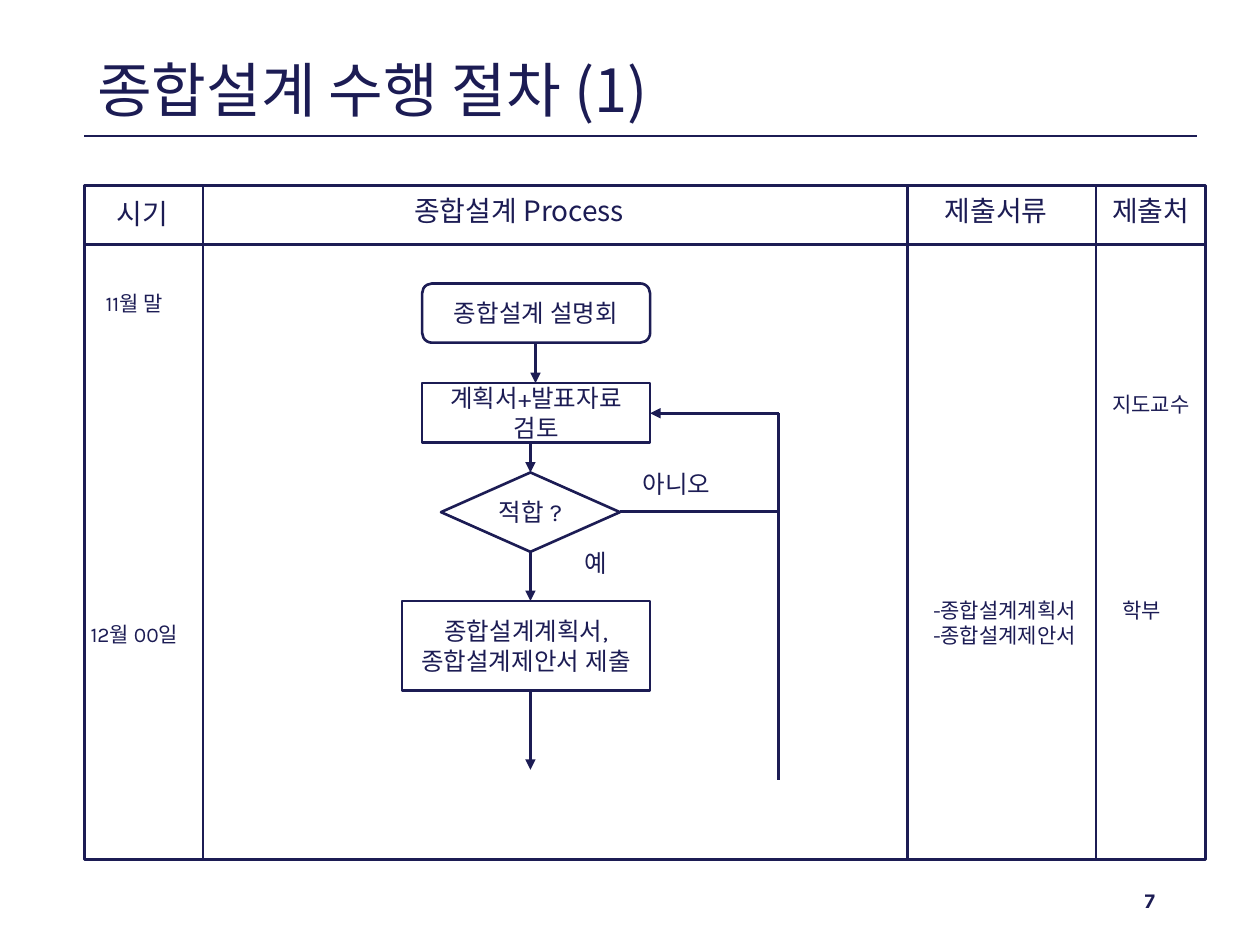
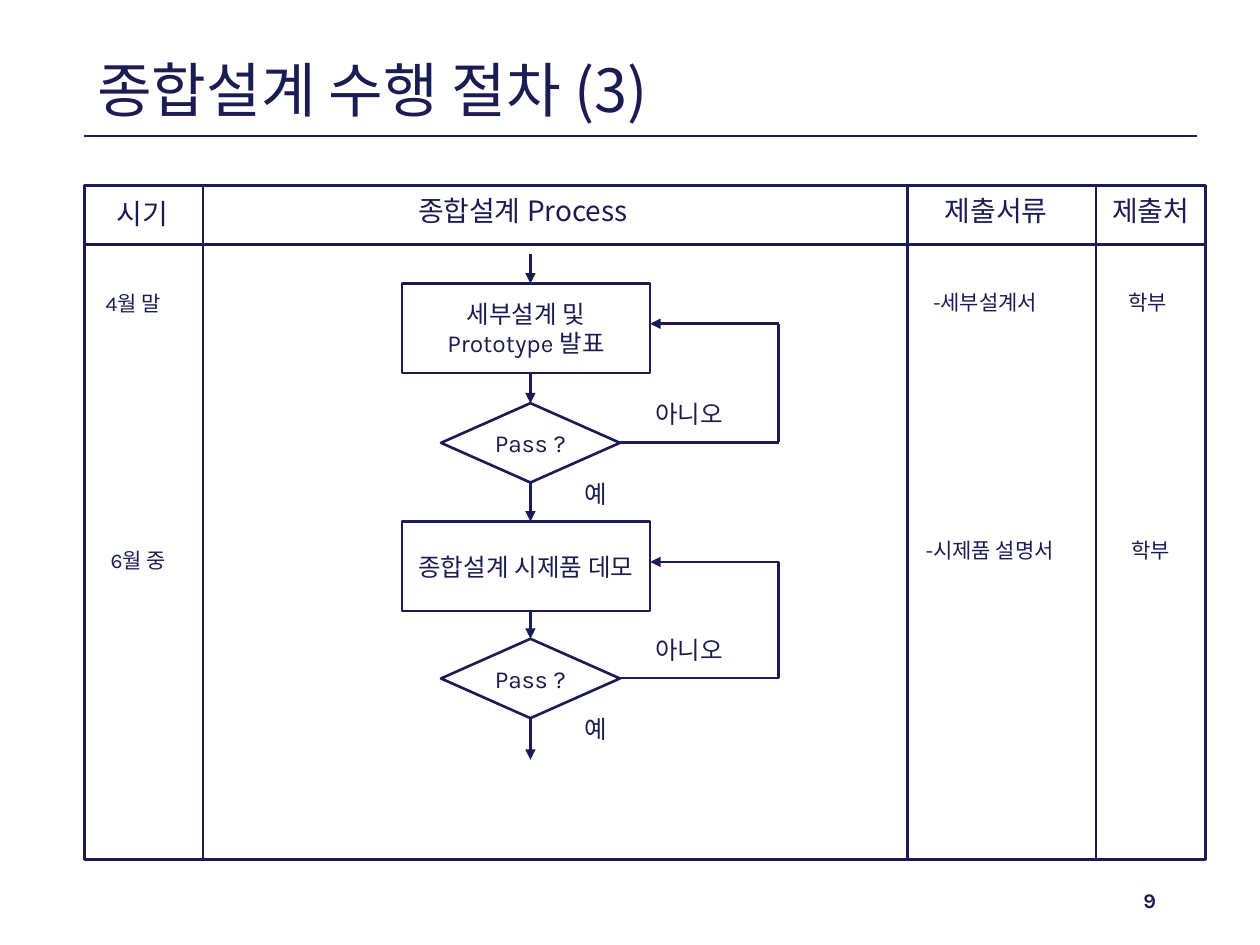
"""Builds two slides of the design course procedure as flow charts in a ruled frame."""
from lxml import etree
from pptx import Presentation
from pptx.dml.color import RGBColor
from pptx.enum.shapes import MSO_CONNECTOR, MSO_SHAPE
from pptx.enum.text import MSO_ANCHOR, MSO_AUTO_SIZE, PP_ALIGN
from pptx.oxml.ns import qn
from pptx.util import Inches, Pt

STRAIGHT = MSO_CONNECTOR.STRAIGHT
RECTANGLE, ROUNDED, DIAMOND = MSO_SHAPE.RECTANGLE, MSO_SHAPE.ROUNDED_RECTANGLE, MSO_SHAPE.DIAMOND
LEFT, CENTER = PP_ALIGN.LEFT, PP_ALIGN.CENTER
TOP, MIDDLE, BOTTOM = MSO_ANCHOR.TOP, MSO_ANCHOR.MIDDLE, MSO_ANCHOR.BOTTOM
FIXED, GROW = MSO_AUTO_SIZE.NONE, MSO_AUTO_SIZE.SHAPE_TO_FIT_TEXT

NAVY = RGBColor(0x1C, 0x1C, 0x54)
BODY_FONT, TITLE_FONT = "Karla", "Noto Sans CJK KR"
LINE_WIDTH = 1.5

FRAME_LEFT, FRAME_TOP, FRAME_RIGHT, FRAME_BOTTOM = 0.67, 1.47, 9.57, 6.82
HEADER_BOTTOM = 1.94
COLUMN_EDGES = [1.61, 7.2, 8.7]
FLOW_X, RETURN_X = 4.21, 6.18

# kind: preset, left, width, height, depth of the side port, x of the arrow below
STEP_KINDS = {
    "start": (ROUNDED, 3.35, 1.81, 0.47, 0.24, 4.25),
    "review": (RECTANGLE, 3.35, 1.81, 0.47, 0.24, FLOW_X),
    "task": (RECTANGLE, 3.19, 1.97, 0.71, 0.32, FLOW_X),
    "decision": (DIAMOND, 3.5, 1.42, 0.63, 0.31, FLOW_X),
}

PAGES = [
    {
        "title": "종합설계 수행 절차 (1)", "number": "7", "process_left": 3.19, "no_left": 5.0,
        "steps": [
            ("start", 2.25, ["종합설계 설명회"]),
            ("review", 3.04, ["계획서+발표자료", "검토"]),
            ("decision", 3.75, ["적합 ?"]),
            ("task", 4.77, ["종합설계계획서,", "종합설계제안서 제출"]),
        ],
        "entry": None, "exit": 6.11, "return_end": 6.19,
        "notes": [
            (0.74, 2.26, 0.8, ["11월 말"], False),
            (0.62, 4.88, 1.08, ["12월 00일"], False),
            (7.31, 4.69, 1.36, ["-종합설계계획서", "-종합설계제안서"], True),
            (8.73, 3.06, 0.84, ["지도교수"], False),
            (8.81, 4.69, 0.56, ["학부"], False),
        ],
    },
    {
        "title": "종합설계 수행 절차 (3)", "number": "9", "process_left": 3.22, "no_left": 5.1,
        "steps": [
            ("task", 2.25, ["세부설계 및", "Prototype 발표"]),
            ("decision", 3.2, ["Pass ?"]),
            ("task", 4.14, ["종합설계 시제품 데모"]),
            ("decision", 5.07, ["Pass ?"]),
        ],
        "entry": 2.02, "exit": 6.03, "return_end": None,
        "notes": [
            (0.74, 2.26, 0.72, ["4월 말"], False),
            (0.78, 4.3, 0.72, ["6월 중"], False),
            (7.31, 2.25, 1.06, ["-세부설계서"], True),
            (7.25, 4.22, 1.36, ["-시제품 설명서"], True),
            (8.86, 2.25, 0.56, ["학부"], False),
            (8.88, 4.22, 0.56, ["학부"], False),
        ],
    },
]


def write(shape, lines, size=12, font=BODY_FONT, bold=False, align=LEFT, anchor=TOP,
          wrap=False, fit=FIXED, before=0):
    """Fill a shape with lines, each a string or a list of (text, font) spans."""
    frame = shape.text_frame
    frame.auto_size, frame.word_wrap, frame.vertical_anchor = fit, wrap, anchor
    for index, line in enumerate(lines):
        para = frame.add_paragraph() if index else frame.paragraphs[0]
        para.alignment, para.space_before = align, Pt(before)
        for text, face in [(line, font)] if isinstance(line, str) else line:
            span = para.add_run()
            span.text = text
            span.font.size, span.font.bold, span.font.name = Pt(size), bold, face
            span.font.color.rgb = NAVY
            span.font._element.set("kern", "0")
            east_asian = etree.SubElement(span.font._element, qn("a:ea"))
            east_asian.set("typeface", face)


def add_text(page, left, top, width, height, lines, **style):
    """Add a text box that holds the lines."""
    box = page.shapes.add_textbox(Inches(left), Inches(top), Inches(width), Inches(height))
    write(box, lines, **style)


def add_outline(page, preset, left, top, width, height):
    """Add an unfilled shape with a navy outline."""
    box = page.shapes.add_shape(preset, Inches(left), Inches(top), Inches(width), Inches(height))
    box.shadow.inherit = False
    box.fill.background()
    box.line.color.rgb, box.line.width = NAVY, Pt(LINE_WIDTH)
    return box


def add_line(page, *points, arrow=False):
    """Join the points with straight lines, the last one with an optional arrowhead."""
    for start, end in zip(points, points[1:]):
        line = page.shapes.add_connector(STRAIGHT, *map(Inches, start + end))
        line.line.color.rgb, line.line.width = NAVY, Pt(LINE_WIDTH)
        etree.SubElement(line._element.spPr, qn("a:effectLst"))
    if arrow:
        etree.SubElement(line.line._get_or_add_ln(), qn("a:tailEnd")).set("type", "triangle")


def add_base(page, content):
    """Add the title, rule, page number, frame and column headings."""
    title = page.shapes.title
    title.left, title.top, title.width, title.height = map(Inches, (0.67, 0.21, 8.75, 0.83))
    write(title, [content["title"]], size=34, font=TITLE_FONT, anchor=BOTTOM, wrap=True)
    add_line(page, (0.67, 1.08), (9.5, 1.08))
    add_text(page, 8.5, 7, 1.25, 0.33, [content["number"]], size=11.9, bold=True,
             align=CENTER, wrap=True, before=8.8)
    add_outline(page, RECTANGLE, FRAME_LEFT, FRAME_TOP,
                FRAME_RIGHT - FRAME_LEFT, FRAME_BOTTOM - FRAME_TOP)
    add_line(page, (FRAME_LEFT, HEADER_BOTTOM), (FRAME_RIGHT, HEADER_BOTTOM))
    for edge in COLUMN_EDGES:
        add_line(page, (edge, FRAME_TOP), (edge, FRAME_BOTTOM))
    process = [("종합설계 ", BODY_FONT), ("Process", TITLE_FONT)]
    for left, top, width, heading, font in [
        (0.83, 1.51, 0.66, "시기", BODY_FONT),
        (content["process_left"], 1.49, 2, process, BODY_FONT),
        (7.4, 1.49, 1.1, "제출서류", TITLE_FONT),
        (8.73, 1.49, 0.84, "제출처", BODY_FONT),
    ]:
        add_text(page, left, top, width, 0.37, [heading], size=16, font=font, fit=GROW)


def add_flow(page, content):
    """Add the steps, the arrows between them and the return loops of the decisions."""
    steps = content["steps"]
    next_tops = [top for _, top, _ in steps[1:]] + [content["exit"]]
    if content["entry"]:
        add_line(page, (FLOW_X, content["entry"]), (FLOW_X, steps[0][1]), arrow=True)
    target = None
    for (kind, top, lines), next_top in zip(steps, next_tops):
        preset, left, width, height, port, arrow_x = STEP_KINDS[kind]
        box = add_outline(page, preset, left, top, width, height)
        write(box, lines, size=14, align=CENTER, anchor=MIDDLE)
        add_line(page, (arrow_x, top + height), (arrow_x, next_top), arrow=True)
        side = (left + width, top + port)
        if kind == "decision":
            add_line(page, side, (RETURN_X, side[1]), (RETURN_X, target[1]), target, arrow=True)
            add_text(page, content["no_left"], top - 0.08, 0.78, 0.34, ["아니오"], size=14, fit=GROW)
            add_text(page, 4.54, top + height - 0.08, 0.4, 0.34, ["예"], size=14, fit=GROW)
            if content["return_end"]:
                add_line(page, (RETURN_X, side[1]), (RETURN_X, content["return_end"]))
        target = side


def main():
    """Build and save the deck."""
    deck = Presentation()
    deck.slide_width, deck.slide_height = Inches(10), Inches(7.5)
    for content in PAGES:
        page = deck.slides.add_slide(deck.slide_layouts[5])
        add_base(page, content)
        add_flow(page, content)
        for left, top, width, lines, wrap in content["notes"]:
            height = 0.3 + 0.2 * (len(lines) - 1)
            add_text(page, left, top, width, height, lines, wrap=wrap, fit=GROW)
    deck.save("out.pptx")


if __name__ == "__main__":
    main()
